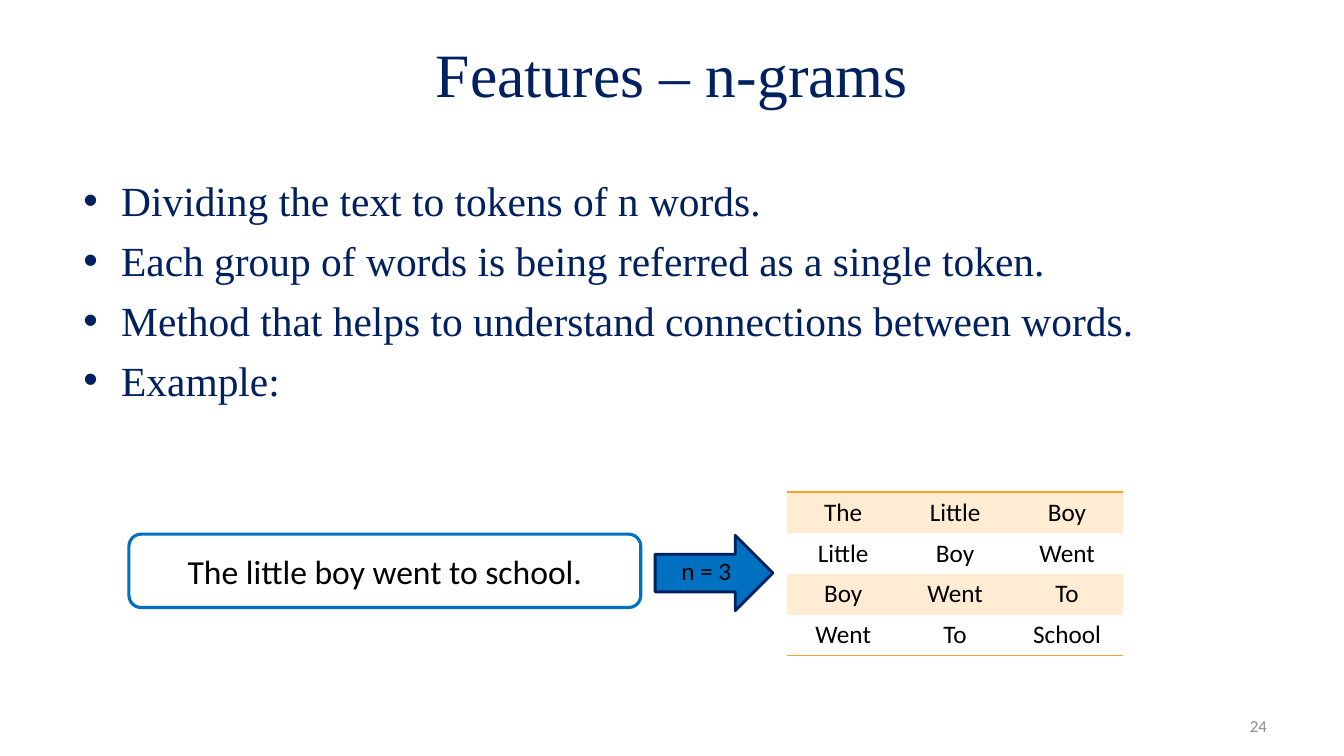
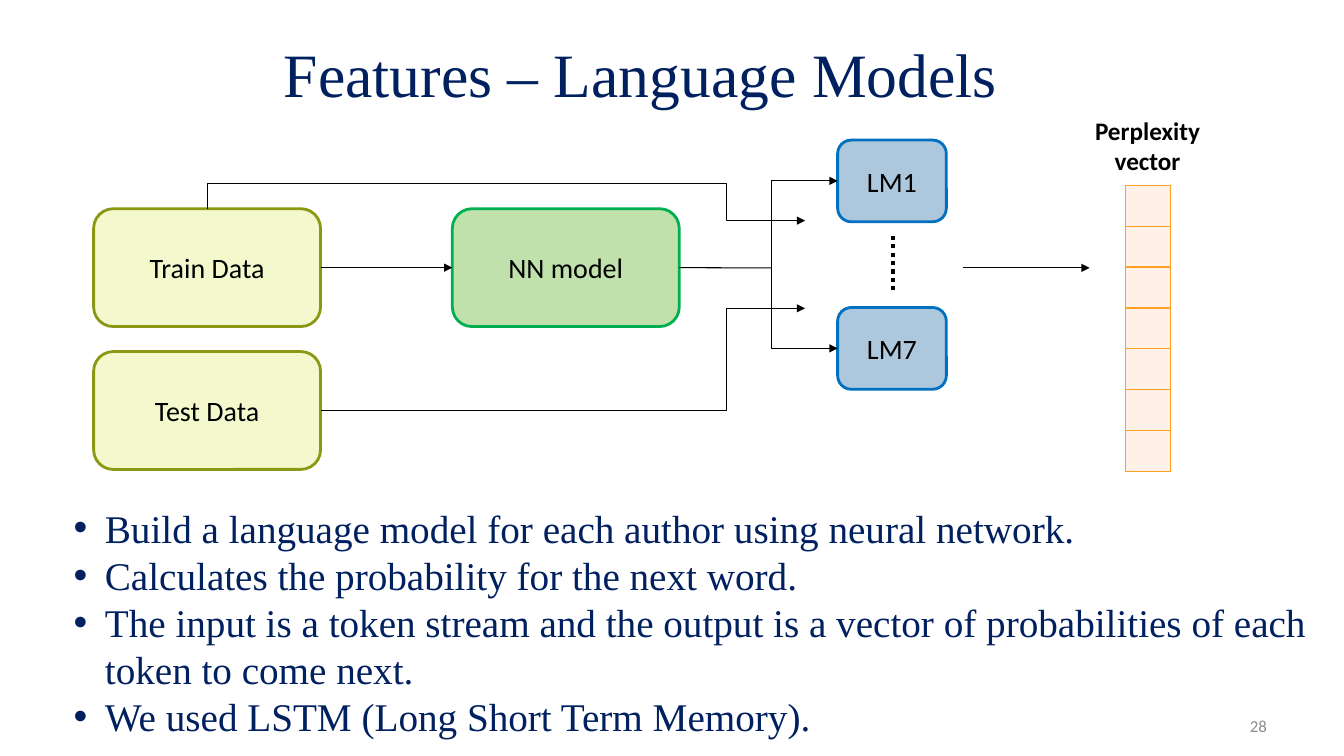
from pptx import Presentation
from pptx import util as u
from pptx.dml.color import RGBColor
from pptx.enum import dml, shapes, text
from pptx.oxml import ns
from pptx.oxml import xmlchemy as xml

COLORS = {
    "navy": "002060", "black": "000000", "grey": "8C8C8C", "blue": "0070C0",
    "pale_blue": "ADC8DD", "olive": "8B9813", "pale_olive": "F4F9CD",
    "green": "00B050", "pale_green": "C0E1AB", "orange": "FDA023",
    "band": "FFECD3", "vector": "FFF0E8",
}
SERIF, SANS = "Times New Roman", "Calibri"
NO_STYLE = "{2D5ABB26-0587-4C30-8999-92F81FD0307C}"
ROW_HEIGHT = 1.03

NGRAM_BULLETS = [
    "Dividing the text to tokens of n words.",
    "Each group of words is being referred as a single token.",
    "Method that helps to understand connections between words.",
    "Example:",
]
MODEL_BULLETS = [
    "Build a language model for each author using neural network.",
    "Calculates the probability for the next word.",
    "The input is a token stream and the output is a vector of "
    "probabilities of each token to come next.",
    "We used LSTM (Long Short Term Memory).",
]
SENTENCE = "The little boy went to school."
TOKENS = ["The", "Little", "Boy", "Went", "To", "School"]
N = 3
VECTOR_LENGTH = 7

NODES = {
    "Train Data": ((2.36, 5.26, 5.72, 2.97), "pale_olive", "olive"),
    "Test Data": ((2.36, 8.86, 5.72, 2.97), "pale_olive", "olive"),
    "NN model": ((11.4, 5.26, 5.72, 2.97), "pale_green", "green"),
    "LM1": ((21.11, 3.53, 2.74, 2.06), "pale_blue", "blue"),
    "LM7": ((21.11, 7.75, 2.74, 2.06), "pale_blue", "blue"),
}
BRANCH = (19.44, 6.75)
BYPASS_Y = 4.62
BEND_X = 18.31
INPUT_X = 20.29
TRAIN_INPUT_Y, TEST_INPUT_Y = 5.56, 7.77


def cm(values):
    return [u.Cm(value) for value in values]


def rgb(name):
    return RGBColor.from_string(COLORS[name])


def write(frame, lines, size, font=SANS, color="black", align=None, bold=None):
    frame.text = "\n".join(lines)
    for paragraph in frame.paragraphs:
        paragraph.alignment = align
        for run in paragraph.runs:
            run.font.size = u.Pt(size)
            run.font.name = font
            run.font.bold = bold
            run.font.color.rgb = rgb(color)


def add_label(slide, box, lines, size, color="black", align=None, bold=None,
              anchor=text.MSO_ANCHOR.TOP):
    frame = slide.shapes.add_textbox(*cm(box)).text_frame
    frame.word_wrap = True
    frame.vertical_anchor = anchor
    write(frame, lines, size, color=color, align=align, bold=bold)


def place(placeholder, box):
    placeholder.left, placeholder.top, placeholder.width, placeholder.height = cm(box)
    placeholder.text_frame.auto_size = text.MSO_AUTO_SIZE.NONE


def add_slide(presentation, title, title_left, number):
    slide = presentation.slides.add_slide(presentation.slide_layouts[1])
    place(slide.shapes.title, (title_left, 0.25, 30.48, 3.18))
    slide.shapes.title.text_frame.vertical_anchor = text.MSO_ANCHOR.MIDDLE
    write(slide.shapes.title.text_frame, [title], 44, SERIF, "navy", text.PP_ALIGN.CENTER)
    add_label(slide, (24.28, 17.78, 7.9, 1.02), [number], 12, "grey",
              text.PP_ALIGN.RIGHT, anchor=text.MSO_ANCHOR.MIDDLE)
    return slide


def fill_body(slide, box, bullets, size, margin, hanging, gap):
    body = slide.placeholders[1]
    place(body, box)
    write(body.text_frame, bullets, size, SERIF, "navy")
    for index, paragraph in enumerate(body.text_frame.paragraphs):
        properties = paragraph._p.get_or_add_pPr()
        properties.set("marL", str(u.Cm(margin)))
        properties.set("indent", str(-u.Cm(hanging)))
        paragraph.space_before = u.Pt(gap if index else 0)
        bullet_font = xml.OxmlElement("a:buFont")
        bullet_font.set("typeface", "Arial")
        bullet = xml.OxmlElement("a:buChar")
        bullet.set("char", "•")
        properties.extend([bullet_font, bullet])


def add_box(slide, kind, box, fill, line, width, label="", size=20):
    shape = slide.shapes.add_shape(kind, *cm(box))
    shape.shadow.inherit = False
    if fill:
        shape.fill.solid()
        shape.fill.fore_color.rgb = rgb(fill)
    else:
        shape.fill.background()
    shape.line.color.rgb = rgb(line)
    shape.line.width = u.Pt(width)
    if label:
        shape.text_frame.vertical_anchor = text.MSO_ANCHOR.MIDDLE
        write(shape.text_frame, [label], size, align=text.PP_ALIGN.CENTER)
    return shape


def add_line(slide, start, end, arrow=True, bend_x=None, width=0.75, dash=None):
    straight = bend_x is None
    kind = shapes.MSO_CONNECTOR.STRAIGHT if straight else shapes.MSO_CONNECTOR.ELBOW
    connector = slide.shapes.add_connector(kind, *cm(start + end))
    connector.line.color.rgb = rgb("black")
    connector.line.width = u.Pt(width)
    if dash:
        connector.line.dash_style = dash
    properties = connector._element.spPr
    if arrow:
        tail = xml.OxmlElement("a:tailEnd")
        tail.set("type", "triangle")
        properties.find(ns.qn("a:ln")).append(tail)
    if not straight:
        share = (bend_x - start[0]) / (end[0] - start[0])
        guide = xml.OxmlElement("a:gd")
        guide.set("name", "adj1")
        guide.set("fmla", f"val {round(share * 100000)}")
        properties.find(ns.qn("a:prstGeom")).find(ns.qn("a:avLst")).append(guide)
    properties.append(xml.OxmlElement("a:effectLst"))
    return connector


def add_grid(slide, left, top, rows, columns, column_width):
    size = (left, top, columns * column_width, rows * ROW_HEIGHT)
    table = slide.shapes.add_table(rows, columns, *cm(size)).table
    table.first_row = table.horz_banding = False
    table._tbl.tblPr.find(ns.qn("a:tableStyleId")).text = NO_STYLE
    for row in table.rows:
        row.height = u.Cm(ROW_HEIGHT)
    for column in table.columns:
        column.width = u.Cm(column_width)
    return table


def style_cell(cell, fill, sides):
    properties = cell._tc.get_or_add_tcPr()
    for side in sides:
        border = xml.OxmlElement(f"a:ln{side}")
        border.set("w", str(u.Pt(1)))
        solid = xml.OxmlElement("a:solidFill")
        color = xml.OxmlElement("a:srgbClr")
        color.set("val", COLORS["orange"])
        solid.append(color)
        border.append(solid)
        properties.append(border)
    if fill:
        cell.fill.solid()
        cell.fill.fore_color.rgb = rgb(fill)
    else:
        cell.fill.background()


def build_ngrams(presentation):
    slide = add_slide(presentation, "Features – n-grams", 1.7, "24")
    fill_body(slide, (1.85, 4.29, 28.58, 6.71), NGRAM_BULLETS, 29.6, 0.95, 0.95, 7.2)
    add_box(slide, shapes.MSO_SHAPE.ROUNDED_RECTANGLE, (3.25, 13.46, 12.9, 1.85),
            None, "blue", 2.25, SENTENCE, 24)
    add_box(slide, shapes.MSO_SHAPE.RIGHT_ARROW, (16.51, 13.49, 2.97, 1.9),
            "blue", "navy", 2)
    add_label(slide, (16.92, 13.87, 1.9, 1.07), [f"n = {N}"], 18)
    rows = len(TOKENS) - N + 1
    table = add_grid(slide, 19.84, 12.4, rows, N, 2.82)
    for row in range(rows):
        sides = {0: "T", rows - 1: "B"}.get(row, "")
        for column in range(N):
            cell = table.cell(row, column)
            style_cell(cell, None if row % 2 else "band", sides)
            write(cell.text_frame, [TOKENS[row + column]], 18, align=text.PP_ALIGN.CENTER)


def build_language_models(presentation):
    slide = add_slide(presentation, "Features – Language Models", 0.91, "28")
    fill_body(slide, (0.33, 12.57, 33.2, 6.25), MODEL_BULLETS, 28, 2.06, 0.79, 0)
    nodes = {
        label: add_box(slide, shapes.MSO_SHAPE.ROUNDED_RECTANGLE, box, fill, line, 2, label)
        for label, (box, fill, line) in NODES.items()
    }

    def side(label, across, down):
        left, top, width, height = NODES[label][0]
        return left + width * across, top + height * down

    train_top = side("Train Data", 0.5, 0)
    bypass = (train_top[0], BYPASS_Y)
    train_to_model = add_line(slide, side("Train Data", 1, 0.5), side("NN model", 0, 0.5))
    train_to_model.begin_connect(nodes["Train Data"], 3)
    train_to_model.end_connect(nodes["NN model"], 1)
    add_line(slide, side("NN model", 1, 0.5), BRANCH, False).begin_connect(nodes["NN model"], 3)
    for label in ("LM1", "LM7"):
        add_line(slide, BRANCH, side(label, 0, 0.5), bend_x=BRANCH[0])
    add_line(slide, train_top, bypass, False).begin_connect(nodes["Train Data"], 0)
    add_line(slide, bypass, (INPUT_X, TRAIN_INPUT_Y), bend_x=BEND_X)
    add_line(slide, side("Test Data", 1, 0.5), (INPUT_X, TEST_INPUT_Y), bend_x=BEND_X)
    add_line(slide, (22.5, 5.94), (22.5, 7.34), False, width=3,
             dash=dml.MSO_LINE.ROUND_DOT)
    add_line(slide, (24.28, 6.75), (27.46, 6.75))

    add_label(slide, (27, 2.77, 3.84, 1.8), ["Perplexity", "vector"], 18,
              align=text.PP_ALIGN.CENTER, bold=True)
    table = add_grid(slide, 28.37, 4.67, VECTOR_LENGTH, 1, 1.13)
    for cell in table.iter_cells():
        style_cell(cell, "vector", "LRTB")


def main():
    presentation = Presentation()
    presentation.slide_width, presentation.slide_height = cm((33.87, 19.05))
    build_ngrams(presentation)
    build_language_models(presentation)
    presentation.save("out.pptx")


if __name__ == "__main__":
    main()
